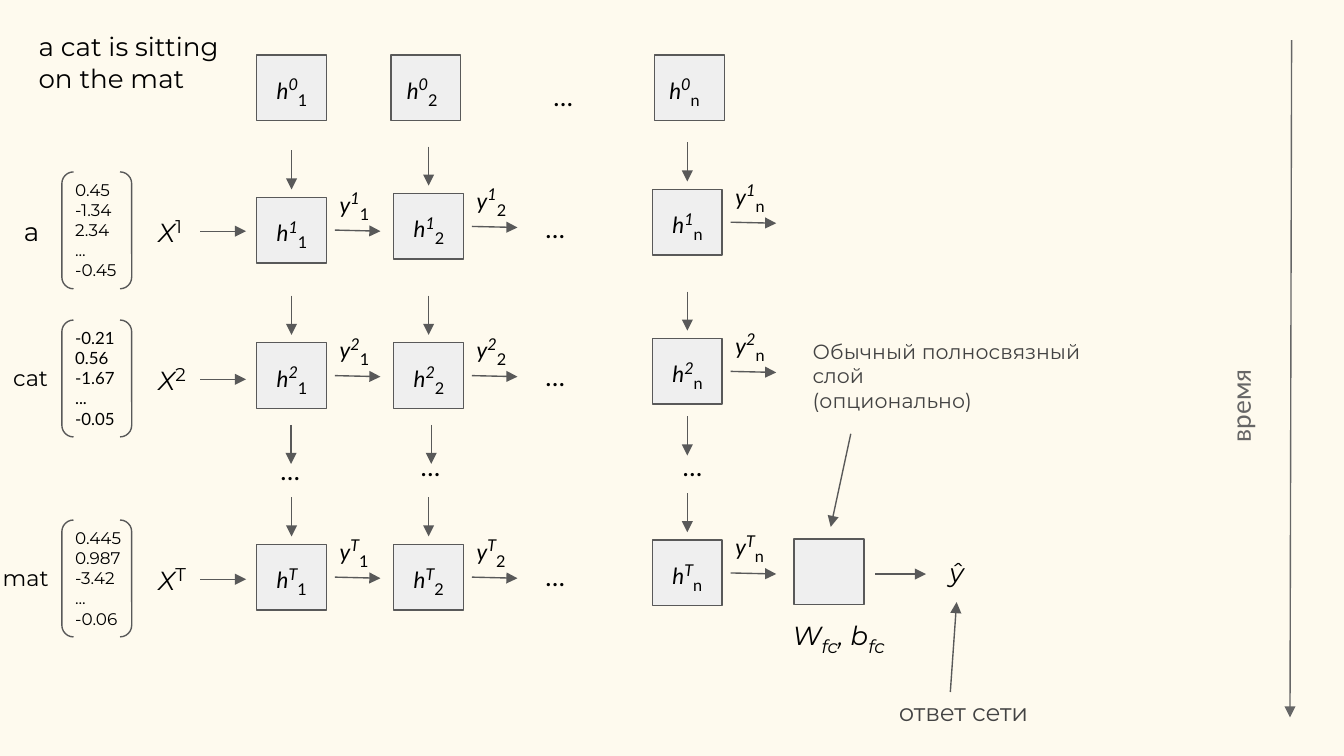
import pptx
import pptx.dml.color
import pptx.enum.dml
import pptx.enum.shapes
import pptx.enum.text
import pptx.oxml
import pptx.oxml.ns
import pptx.util

Cm = pptx.util.Cm
Pt = pptx.util.Pt
COLORS = {
    "paper": "FEFAEE",
    "cell": "EFEFEF",
    "line": "595959",
    "time": "666666",
    "note": "434343",
    "ink": "000000",
}
SUPER, SUB = 30000, -25000
CELL_WIDTH, CELL_HEIGHT = 1.32, 1.24


class Diagram:
    def __init__(self, page):
        self.page = page
        page.background.fill.solid()
        page.background.fill.fore_color.rgb = self.color("paper")

    def color(self, name):
        return pptx.dml.color.RGBColor.from_string(COLORS[name])

    def shape(self, kind, left, top, width, height, fill=None):
        shape = self.page.shapes.add_shape(kind, Cm(left), Cm(top), Cm(width), Cm(height))
        shape.shadow.inherit = False
        if fill:
            shape.fill.solid()
            shape.fill.fore_color.rgb = self.color(fill)
        else:
            shape.fill.background()
        shape.line.color.rgb = self.color("line")
        shape.line.width = Pt(0.75)

    def cell(self, left, top):
        kind = pptx.enum.shapes.MSO_SHAPE.RECTANGLE
        self.shape(kind, left, top, CELL_WIDTH, CELL_HEIGHT, "cell")

    def bracket(self, left, top):
        self.shape(pptx.enum.shapes.MSO_SHAPE.DOUBLE_BRACKET, left, top, 1.32, 2.21)

    def arrow(self, x1, y1, x2, y2, color="line"):
        arrow = self.page.shapes.add_connector(
            pptx.enum.shapes.MSO_CONNECTOR.STRAIGHT, Cm(x1), Cm(y1), Cm(x2), Cm(y2))
        arrow.line.color.rgb = self.color(color)
        arrow.line.width = Pt(0.75)
        head = pptx.oxml.parse_xml(
            f'<a:tailEnd {pptx.oxml.ns.nsdecls("a")} type="triangle"/>')
        arrow.line._get_or_add_ln().append(head)
        effects = pptx.oxml.parse_xml(f'<a:effectLst {pptx.oxml.ns.nsdecls("a")}/>')
        arrow._element.spPr.append(effects)

    def frame(self, left, top, width, height):
        box = self.page.shapes.add_textbox(Cm(left), Cm(top), Cm(width), Cm(height))
        frame = box.text_frame
        frame.word_wrap = True
        frame.auto_size = pptx.enum.text.MSO_AUTO_SIZE.SHAPE_TO_FIT_TEXT
        frame.margin_left = frame.margin_right = Cm(0.25)
        frame.margin_top = frame.margin_bottom = Cm(0.25)
        return box

    def style(self, para, font, color):
        para.font.name = font
        para.font.color.rgb = self.color(color)

    def text(self, place, lines, size=14, font="Montserrat", color="ink", italic=False):
        box = self.frame(*place)
        box.text_frame.text = "\n".join(lines)
        for para in box.text_frame.paragraphs:
            self.style(para, font, color)
            para.font.size = Pt(size)
            para.font.italic = italic
        return box

    def formula(self, place, parts, font="Montserrat"):
        para = self.frame(*place).text_frame.paragraphs[0]
        self.style(para, font, "ink")
        for text, size, italic, baseline in parts:
            span = para.add_run()
            span.text = text
            span.font.size = Pt(size)
            span.font.italic = italic
            if baseline:
                span.font._element.set("baseline", str(baseline))

    def indexed(self, left, top, width, letter, step, unit):
        parts = [(letter, 12, True, 0), (step, 15, True, SUPER), (unit, 15, False, SUB)]
        self.formula((left, top, width, 1.14), parts, "Lato")

    def dots(self, left, top):
        self.text((left, top, 0.91, 1.12), ["…"], font="Lato")


def draw_input(diagram, step, top, word, left, width, size, font, values):
    diagram.text((left, top + 0.58, width, 1.12), [word], size)
    diagram.bracket(1.17, top)
    diagram.text((1.17, top - 0.11, 2.13, 2.44), values, 9, font)
    diagram.formula((2.74, top + 0.49, 1.52, 1.24),
                    [("X", 14, True, 0), (step, 17, False, SUPER)])
    diagram.arrow(3.78, top + 1.12, 4.65, top + 1.12)
    diagram.dots(10.06, top + 0.51)


def draw_state(diagram, left, top, step, unit):
    middle = left + CELL_WIDTH / 2
    diagram.arrow(middle, top - 0.89, middle, top - 0.15)
    diagram.cell(left, top)
    diagram.indexed(left + 0.13, top + 0.06, 1.47, "h", step, unit)
    diagram.arrow(left + 1.48, top + 0.62, left + 2.34, top + 0.64)
    diagram.indexed(left + CELL_WIDTH, top - 0.48, 1.7, "y", step, unit)


def main():
    deck = pptx.Presentation()
    deck.slide_width, deck.slide_height = Cm(25.4), Cm(14.29)
    diagram = Diagram(deck.slides.add_slide(deck.slide_layouts[6]))

    diagram.text((0.48, 0.33, 3.99, 1.7), ["a cat is sitting on the mat"])
    units = ("1", "2", "n")
    for unit, left, indent in zip(units, (4.85, 7.39, 12.37), (0.13, 0.05, 0.03)):
        diagram.cell(left, 1.04)
        diagram.indexed(left + indent, 1.1, 1.47, "h", "0", unit)
    diagram.dots(10.21, 1.27)

    inputs = (
        ("1", 3.25, "a", 0.2, 1.14, 14, "Montserrat", ["0.45", "-1.34", "2.34", "...", "-0.45"]),
        ("2", 6.05, "cat", 0, 2.24, 12, "Lato", ["-0.21", "0.56", "-1.67", "...", "-0.05"]),
        ("T", 9.83, "mat", -0.2, 1.52, 12, "Montserrat",
         ["0.445", "0.987", "-3.42", "...", "-0.06"]),
    )
    for row in inputs:
        draw_input(diagram, *row)

    columns = (4.85, 7.44, 12.33)
    state_tops = {
        "1": (3.73, 3.66, 3.58),
        "2": (6.48, 6.48, 6.4),
        "T": (10.29, 10.29, 10.21),
    }
    for step, tops in state_tops.items():
        for left, top, unit in zip(columns, tops, units):
            draw_state(diagram, left, top, step, unit)

    gaps = ((5.05, 8.33, 5.5, 8.03), (7.7, 8.26, 8.15, 8.03), (12.65, 8.26, 12.99, 7.87))
    for dots_left, dots_top, x, y in gaps:
        diagram.dots(dots_left, dots_top)
        diagram.arrow(x, y, x, y + 0.74)

    diagram.text((15.11, 6.15, 5.66, 1.93),
                 ["Обычный полносвязный слой", "(опционально)"], 11, color="note")
    diagram.arrow(16.08, 8.2, 15.7, 9.96)
    diagram.cell(15.01, 10.19)
    diagram.formula((14.73, 11.35, 3.68, 1.24),
                    [("W", 14, True, 0), ("fc", 17, True, SUB),
                     (", b", 14, True, 0), ("fc", 17, True, SUB)])
    diagram.arrow(16.54, 10.85, 17.5, 10.85)
    diagram.text((17.7, 10.26, 1.7, 1.12), ["ŷ"], italic=True)
    diagram.arrow(17.96, 13.08, 18.08, 11.38)
    diagram.text((16.74, 12.93, 4.34, 1.07), ["ответ сети"], 13, color="note")

    diagram.arrow(24.41, 0.76, 24.38, 13.56, "time")
    time_label = diagram.text((22.45, 7.04, 2.01, 1.12), ["время"], font="Lato", color="time")
    time_label.rotation = 270
    deck.save("out.pptx")


if __name__ == "__main__":
    main()
